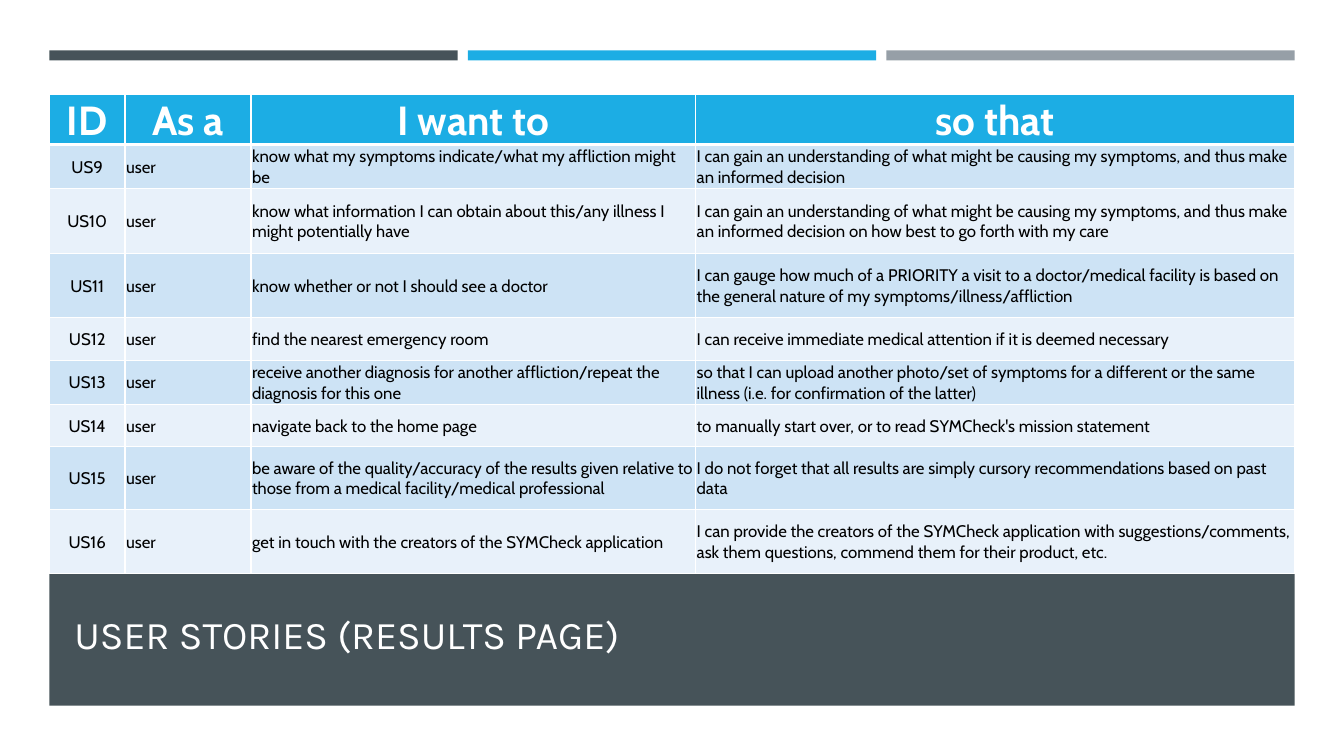
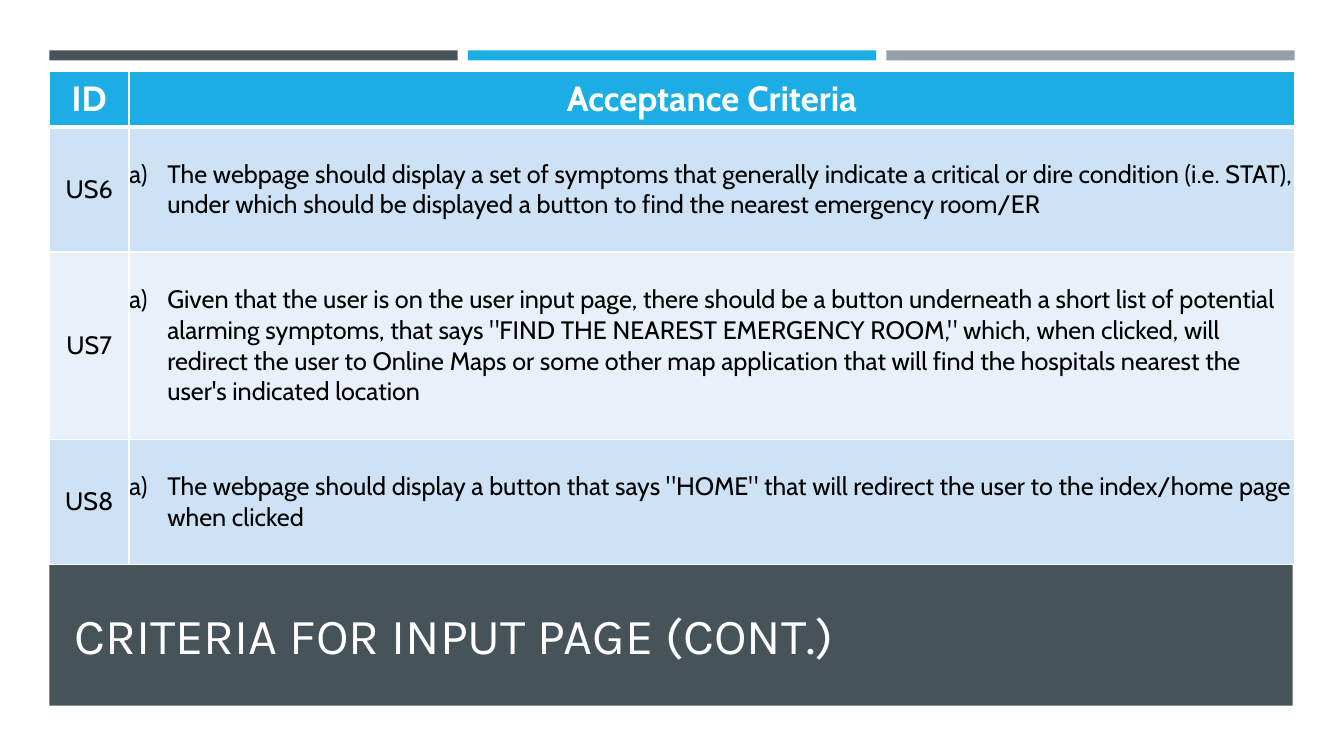
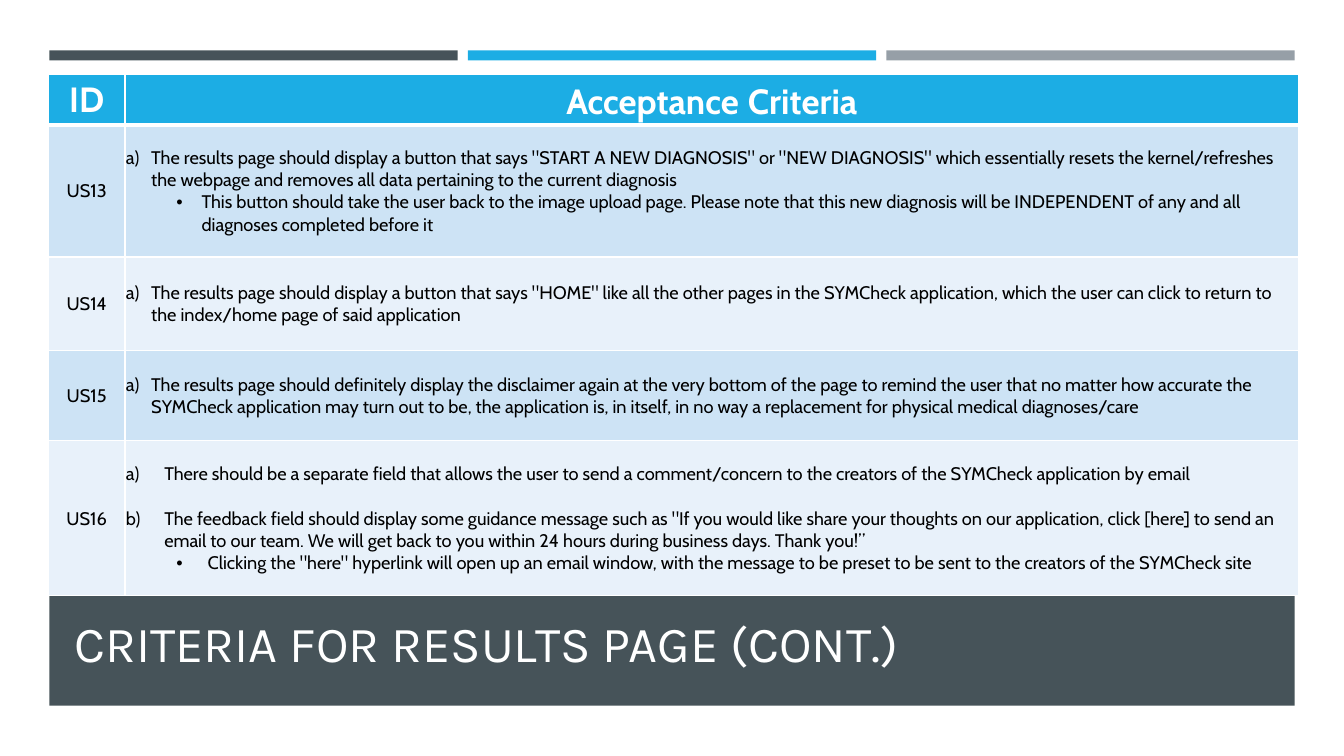
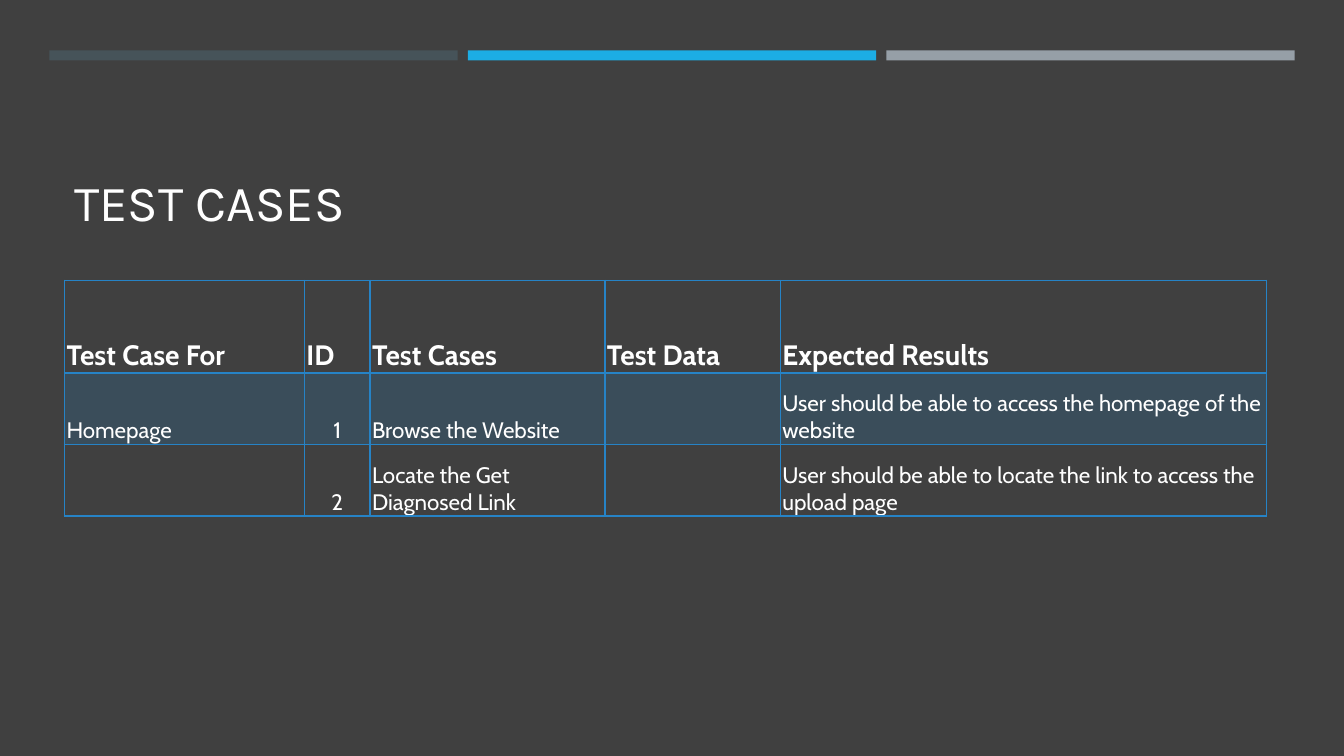
from dataclasses import dataclass

from lxml import etree
from pptx import Presentation
from pptx import util as u
from pptx.dml.color import RGBColor
from pptx.enum import shapes, text
from pptx.oxml import ns

WHITE = RGBColor(0xFF, 0xFF, 0xFF)
BLACK = RGBColor(0x00, 0x00, 0x00)
SLATE = RGBColor(0x46, 0x53, 0x59)
CYAN = RGBColor(0x1C, 0xAD, 0xE4)
GREY = RGBColor(0x96, 0x9F, 0xA7)
CHARCOAL = RGBColor(0x40, 0x40, 0x40)
BLUE = RGBColor(0x26, 0x83, 0xC6)
BAND_DARK = RGBColor(0xCD, 0xE3, 0xF5)
BAND_LIGHT = RGBColor(0xE8, 0xF1, 0xFA)

TITLE_FONT = "Karla"
BODY_FONT = "Cabin"
LEFT = 0.49
MIDDLE = text.MSO_ANCHOR.MIDDLE
BOTTOM = text.MSO_ANCHOR.BOTTOM
CENTER = text.PP_ALIGN.CENTER
START = text.PP_ALIGN.LEFT


@dataclass
class Item:
    """A list paragraph: lettered when it has no bullet sign."""
    text: str
    hang: float
    left: float = 0
    sign: str = ""
    before: float = 0


@dataclass
class TableStyle:
    header_size: float
    body_size: float
    inset: float = 0.01
    anchor: int = MIDDLE
    header_align: int = CENTER
    centred_column: int = 0
    header_fill: RGBColor = CYAN
    bands: tuple = (BAND_DARK, BAND_LIGHT)
    alpha: int = 100
    text_color: RGBColor = BLACK
    border: RGBColor = WHITE
    rule_width: float = 3


def add_text(paragraph, words, size=18, color=WHITE, font=BODY_FONT, bold=False):
    run = paragraph.add_run()
    run.text = words
    run.font.name = font
    run.font.size = u.Pt(size)
    run.font.bold = bold
    run.font.color.rgb = color


def add_list_format(paragraph, item):
    if item.before:
        paragraph.space_before = u.Pt(item.before)
    properties = paragraph._p.get_or_add_pPr()
    properties.set("marL", str(u.Inches(item.left + item.hang)))
    properties.set("indent", str(-u.Inches(item.hang)))
    if item.sign:
        properties.set("lvl", "1")
        etree.SubElement(properties, ns.qn("a:buFont"), typeface="Arial")
        etree.SubElement(properties, ns.qn("a:buChar"), char=item.sign)
    else:
        etree.SubElement(properties, ns.qn("a:buAutoNum"), type="alphaLcParenR")


def set_borders(cell, color, top, bottom):
    properties = cell._tc.get_or_add_tcPr()
    widths = {"a:lnL": 1, "a:lnR": 1, "a:lnT": top, "a:lnB": bottom}
    for position, (tag, width) in enumerate(widths.items()):
        line = etree.Element(ns.qn(tag), w=str(u.Pt(width)))
        fill = etree.SubElement(line, ns.qn("a:solidFill"))
        etree.SubElement(fill, ns.qn("a:srgbClr"), val=str(color))
        properties.insert(position, line)


def set_fill(cell, color, alpha=100):
    if color is None:
        cell.fill.background()
        return
    cell.fill.solid()
    cell.fill.fore_color.rgb = color
    if alpha < 100:
        rgb = cell._tc.tcPr.find(".//" + ns.qn("a:srgbClr"))
        etree.SubElement(rgb, ns.qn("a:alpha"), val=str(alpha * 1000))


class Deck:
    def __init__(self):
        self.presentation = Presentation()
        self.presentation.slide_width = u.Inches(13.33)
        self.presentation.slide_height = u.Inches(7.5)
        self.slide = None

    def new_slide(self, background=WHITE):
        self.slide = self.presentation.slides.add_slide(self.presentation.slide_layouts[6])
        self.slide.background.fill.solid()
        self.slide.background.fill.fore_color.rgb = background
        # Three strips along the top
        for index, color in enumerate((SLATE, CYAN, GREY)):
            self.rectangle(LEFT + index * 4.15, 0.5, 4.05, 0.1, color)

    def rectangle(self, left, top, width, height, color):
        shape = self.slide.shapes.add_shape(
            shapes.MSO_SHAPE.RECTANGLE, *map(u.Inches, (left, top, width, height)))
        shape.shadow.inherit = False
        shape.fill.solid()
        shape.fill.fore_color.rgb = color
        shape.line.fill.background()

    def title(self, words, top, height, size=36, anchor=MIDDLE):
        box = self.slide.shapes.add_textbox(
            *map(u.Inches, (0.64, top, 12, height)))
        frame = box.text_frame
        frame.word_wrap = True
        frame.vertical_anchor = anchor
        add_text(frame.paragraphs[0], words, size=size, font=TITLE_FONT)

    def table(self, left, top, columns, heights, rows, style):
        frame = self.slide.shapes.add_table(
            len(rows), len(columns),
            *map(u.Inches, (left, top, sum(columns), sum(heights))))
        table = frame.table
        table.first_row = table.horz_banding = False
        for column, width in zip(table.columns, columns):
            column.width = u.Inches(width)
        for index, (height, values) in enumerate(zip(heights, rows)):
            table.rows[index].height = u.Inches(height)
            for column, value in enumerate(values):
                self.cell(table.cell(index, column), value, index, column, style)
        return table

    def cell(self, cell, value, row, column, style):
        header = row == 0
        cell.margin_left = cell.margin_right = cell.margin_top = u.Inches(style.inset)
        cell.margin_bottom = 0
        cell.vertical_anchor = style.anchor
        if header:
            set_fill(cell, style.header_fill)
        else:
            set_fill(cell, style.bands[(row - 1) % 2], style.alpha)
        set_borders(cell, style.border,
                    top=style.rule_width if row == 1 else 1,
                    bottom=style.rule_width if header else 1)
        centred = CENTER if column == style.centred_column else START
        for index, item in enumerate(value if isinstance(value, list) else [value]):
            frame = cell.text_frame
            paragraph = frame.add_paragraph() if index else frame.paragraphs[0]
            paragraph.alignment = style.header_align if header else centred
            if isinstance(item, Item):
                add_list_format(paragraph, item)
                item = item.text
            if item:
                add_text(paragraph, item, bold=header,
                         size=style.header_size if header else style.body_size,
                         color=WHITE if header else style.text_color)


def user_stories(deck):
    deck.new_slide()
    deck.rectangle(LEFT, 5.62, 12.35, 1.38, SLATE)
    deck.title("USER STORIES (RESULTS PAGE)", 5.76, 1.05, size=28)
    stories = [
        ("know what my symptoms indicate/what my affliction might be",
         "I can gain an understanding of what might be causing my symptoms, and thus make "
         "an informed decision"),
        ("know what information I can obtain about this/any illness I might potentially have",
         "I can gain an understanding of what might be causing my symptoms, and thus make "
         "an informed decision on how best to go forth with my care"),
        ("know whether or not I should see a doctor",
         "I can gauge how much of a PRIORITY a visit to a doctor/medical facility is based on "
         "the general nature of my symptoms/illness/affliction"),
        ("find the nearest emergency room",
         "I can receive immediate medical attention if it is deemed necessary"),
        ("receive another diagnosis for another affliction/repeat the diagnosis for this one",
         "so that I can upload another photo/set of symptoms for a different or the same "
         "illness (i.e. for confirmation of the latter)"),
        ("navigate back to the home page",
         "to manually start over, or to read SYMCheck's mission statement"),
        ("be aware of the quality/accuracy of the results given relative to those from a "
         "medical facility/medical professional",
         "I do not forget that all results are simply cursory recommendations based on past data"),
        ("get in touch with the creators of the SYMCheck application",
         "I can provide the creators of the SYMCheck application with suggestions/comments, "
         "ask them questions, commend them for their product, etc."),
    ]
    rows = [("ID", "As a", "I want to", "so that")]
    rows += [(f"US{number}", "user", *story) for number, story in enumerate(stories, 9)]
    deck.table(LEFT, 0.94, [0.75, 1.25, 4.41, 5.94],
               [0.49, 0.44, 0.64, 0.64, 0.42, 0.44, 0.42, 0.62, 0.64],
               rows, TableStyle(29, 12))


def input_criteria(deck):
    deck.new_slide()
    deck.rectangle(LEFT, 4.85, 12.33, 2.15, SLATE)
    deck.title("CRITERIA FOR INPUT PAGE (CONT.)", 5.47, 1.17, anchor=BOTTOM)
    criteria = [
        "The webpage should display a set of symptoms that generally indicate a critical or dire "
        "condition (i.e. STAT), under which should be displayed a button to find the nearest "
        "emergency room/ER",
        "Given that the user is on the user input page, there should be a button underneath a "
        "short list of potential alarming symptoms, that says \"FIND THE NEAREST EMERGENCY "
        "ROOM,\" which, when clicked, will redirect the user to Online Maps or some other map "
        "application that will find the hospitals nearest the user's indicated location",
        "The webpage should display a button that says \"HOME\" that will redirect the user to "
        "the index/home page when clicked",
    ]
    rows = [("ID", "Acceptance Criteria")]
    rows += [(f"US{number}", Item(words, 0.38)) for number, words in enumerate(criteria, 6)]
    deck.table(LEFT, 0.71, [0.79, 11.56], [0.55, 1.24, 1.86, 1.24],
               rows, TableStyle(25, 18, inset=0))


def results_criteria(deck):
    deck.new_slide()
    deck.rectangle(LEFT, 5.62, 12.35, 1.38, SLATE)
    deck.title("CRITERIA FOR RESULTS PAGE (CONT.)", 5.85, 1.05)
    criteria = [
        [Item("The results page should display a button that says \"START A NEW DIAGNOSIS\" or "
              "\"NEW DIAGNOSIS\" which essentially resets the kernel/refreshes the webpage and "
              "removes all data pertaining to the current diagnosis", 0.25),
         Item("This button should take the user back to the image upload page. Please note that "
              "this new diagnosis will be INDEPENDENT of any and all diagnoses completed "
              "before it", 0.25, left=0.5, sign="•")],
        Item("The results page should display a button that says \"HOME\" like all the other "
             "pages in the SYMCheck application, which the user can click to return to the "
             "index/home page of said application", 0.25),
        Item("The results page should definitely display the disclaimer again at the very bottom "
             "of the page to remind the user that no matter how accurate the SYMCheck "
             "application may turn out to be, the application is, in itself, in no way a "
             "replacement for physical medical diagnoses/care", 0.25),
        [Item("There should be a separate field that allows the user to send a comment/concern "
              "to the creators of the SYMCheck application by email", 0.38),
         Item("The feedback field should display some guidance message such as \"If you would "
              "like share your thoughts on our application, click [here] to send an email to our "
              "team. We will get back to you within 24 hours during business days. Thank you!”",
              0.38, before=16),
         Item("Clicking the \"here\" hyperlink will open up an email window, with the message to "
              "be preset to be sent to the creators of the SYMCheck site",
              0.31, left=0.5, sign="•")],
    ]
    rows = [("ID", "Acceptance")]
    rows += [(f"US{number}", items) for number, items in enumerate(criteria, 13)]
    table = deck.table(0.48, 0.74, [0.76, 11.64], [0.5, 1.31, 0.93, 0.89, 1.54],
                       rows, TableStyle(25, 13))
    # The heading has a larger space between its words
    heading = table.cell(0, 1).text_frame.paragraphs[0]
    add_text(heading, " ", size=29, bold=True)
    add_text(heading, "Criteria", size=25, bold=True)


def test_cases(deck):
    deck.new_slide(CHARCOAL)
    deck.title("TEST CASES", 0.79, 1.56, anchor=BOTTOM)
    rows = [
        ("Test Case For", "ID", "Test Cases", "Test Data", "Expected Results"),
        ("Homepage", "1", "Browse the Website", "",
         "User should be able to access the homepage of the website"),
        ("", "2", "Locate the Get Diagnosed Link", "",
         "User should be able to locate the link to access the upload page"),
    ]
    style = TableStyle(20, 16, inset=0.02, anchor=BOTTOM, header_align=START,
                       centred_column=1, header_fill=None, bands=(BLUE, None), alpha=20,
                       text_color=WHITE, border=BLUE, rule_width=2)
    deck.table(0.64, 2.78, [2.38, 0.65, 2.33, 1.74, 4.82], [0.92, 0.71, 0.71], rows, style)


def main():
    deck = Deck()
    for build in (user_stories, input_criteria, results_criteria, test_cases):
        build(deck)
    deck.presentation.save("out.pptx")


if __name__ == "__main__":
    main()
